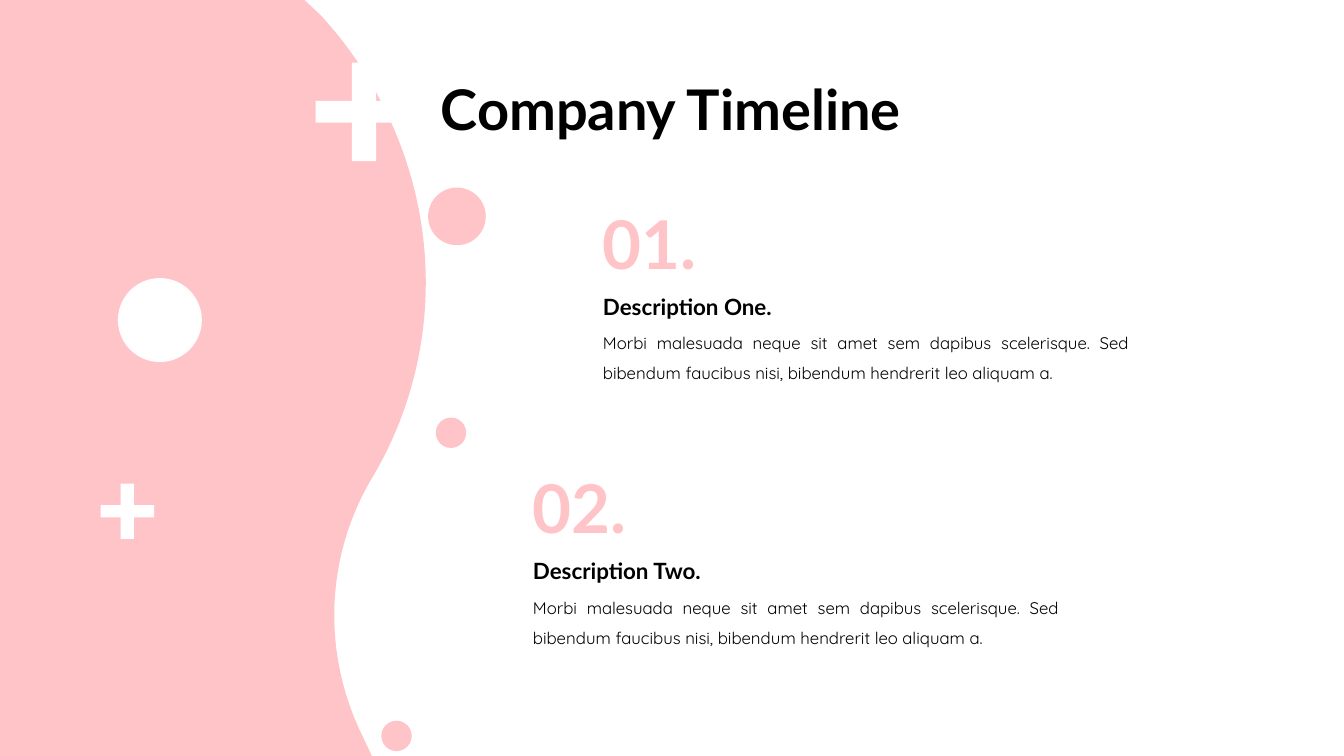
from dataclasses import dataclass

from pptx import Presentation
from pptx.dml.color import RGBColor
from pptx.enum.shapes import MSO_SHAPE as Preset
from pptx.enum.text import MSO_ANCHOR as Anchor, MSO_AUTO_SIZE as AutoSize, PP_ALIGN as Align
from pptx.oxml import parse_xml
from pptx.oxml.ns import nsdecls, qn
from pptx.util import Pt


@dataclass(frozen=True)
class Theme:
    pink: RGBColor = RGBColor(0xFF, 0xC4, 0xC8)
    white: RGBColor = RGBColor(0xFF, 0xFF, 0xFF)
    black: RGBColor = RGBColor(0, 0, 0)
    display: str = "Lato"
    text: str = "Quicksand"
    title_size: int = 40
    number_size: int = 48
    heading_size: int = 16
    body_size: int = 12
    number_outline: float = 2.5


theme = Theme()
deck = Presentation()
deck.slide_width, deck.slide_height = Pt(960), Pt(540)
page = deck.slides.add_slide(deck.slide_layouts[6])


def add_shape(color, bounds=None, corners=None):
    """Add a flat oval within bounds, or a closed outline through corners."""
    if bounds:
        shape = page.shapes.add_shape(Preset.OVAL, *map(Pt, bounds))
    else:
        points = [(Pt(x), Pt(y)) for x, y in corners]
        builder = page.shapes.build_freeform(*points[0])
        builder.add_line_segments(points[1:], close=True)
        shape = builder.convert_to_shape()
    shape.fill.solid()
    shape.fill.fore_color.rgb = color
    shape.line.fill.background()
    shape.shadow.inherit = False
    return shape


def add_text(words, bounds, size, font=theme.display, bold=True,
             color=theme.black, spacing=None, align=None):
    box = page.shapes.add_textbox(*map(Pt, bounds))
    box.text_frame.word_wrap = True
    box.text_frame.auto_size = AutoSize.SHAPE_TO_FIT_TEXT
    para = box.text_frame.paragraphs[0]
    para.text = words
    para.alignment = align
    para.line_spacing = spacing
    para.font.name, para.font.size, para.font.bold = font, Pt(size), bold
    if color is not None:
        para.font.color.rgb = color
    return box


# Wavy panel: straight corners, with three sides bent by two control points each
panel_width = 303.8
panel = add_shape(theme.pink, corners=[
    (0, 0), (217.4, 0), (229, 10.8), (272.2, 72.7), (265, 342.7),
    (259.2, 526.3), (265.7, 540), (0, 540)])
bends = [((245.5, 28.8), (260.6, 49.7)),
         ((319, 162.7), (312.5, 264.2)),
         ((231.8, 399.6), (230.4, 468))]
panel.width = Pt(panel_width)
outline = next(panel._element.iter(qn("a:path")))
outline.set("w", str(Pt(panel_width)))
sides = outline.findall(qn("a:lnTo"))[2:5]
for side, controls in zip(sides, bends):
    side.tag = qn("a:cubicBezTo")
    for position, (x, y) in enumerate(controls):
        side.insert(position, parse_xml(
            f'<a:pt {nsdecls("a")} x="{Pt(x)}" y="{Pt(y)}"/>'))

description = ("Morbi malesuada neque sit amet sem dapibus scelerisque. "
               "Sed bibendum faucibus nisi, bibendum hendrerit leo aliquam a.")
entries = [("01.", "Description One.", 423.6), ("02.", "Description Two.", 373.6)]
first_top, pitch = 140.8, 189
for index, (number, heading, left) in enumerate(entries):
    top = first_top + index * pitch
    add_text(description, (left, top + 86.2, 390.2, 51.1), theme.body_size,
             font=theme.text, bold=False, spacing=1.5, align=Align.JUSTIFY)
    add_text(heading, (left, top + 55.3, 226, 32.4), theme.heading_size, spacing=1.5)
    box = add_text(number, (left, top, 96.5, 65.5), theme.number_size, color=None)
    span = box.text_frame.paragraphs[0].runs[0]
    span.font.fill.background()
    span._r.get_or_add_rPr().insert(0, parse_xml(
        f'<a:ln {nsdecls("a")} w="{Pt(theme.number_outline)}"><a:solidFill>'
        f'<a:srgbClr val="{theme.pink}"/></a:solidFill></a:ln>'))

# Dots: left, top, diameter
for left, top, diameter in [(311.3, 298.3, 21.7), (305.8, 134, 41.2), (272.4, 514.8, 21.7)]:
    add_shape(theme.pink, bounds=(left, top, diameter, diameter))

# Plus signs: left, top, width, height, upright thickness, bar thickness
pluses = [(225.5, 44.7, 68.9, 70.4, 17.3, 15.6),
          (71.9, 345.5, 38.2, 39.4, 9.5, 8.7)]
for left, top, width, height, upright, bar in pluses:
    x1, x2 = left + (width - upright) / 2, left + (width + upright) / 2
    y1, y2 = top + (height - bar) / 2, top + (height + bar) / 2
    right, bottom = left + width, top + height
    add_shape(theme.white, corners=[
        (x1, top), (x2, top), (x2, y1), (right, y1), (right, y2), (x2, y2),
        (x2, bottom), (x1, bottom), (x1, y2), (left, y2), (left, y1), (x1, y1)])

add_shape(theme.white, bounds=(84.2, 198.6, 60, 60))

title = add_text("Company Timeline", (307.7, 28.1, 526.3, 104.4),
                 theme.title_size, spacing=0.9)
title.text_frame.auto_size = AutoSize.NONE
title.text_frame.vertical_anchor = Anchor.MIDDLE

deck.save("out.pptx")
